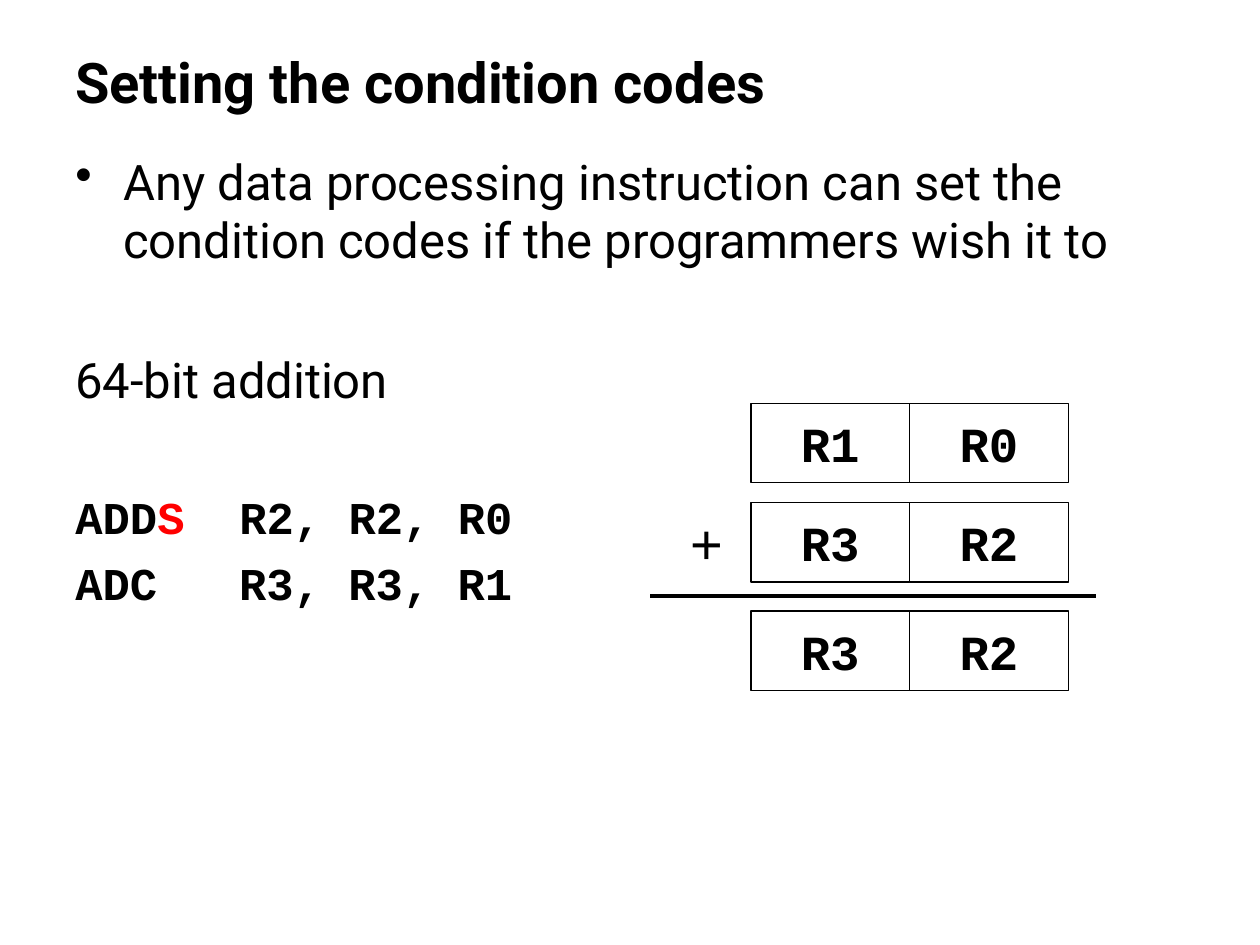
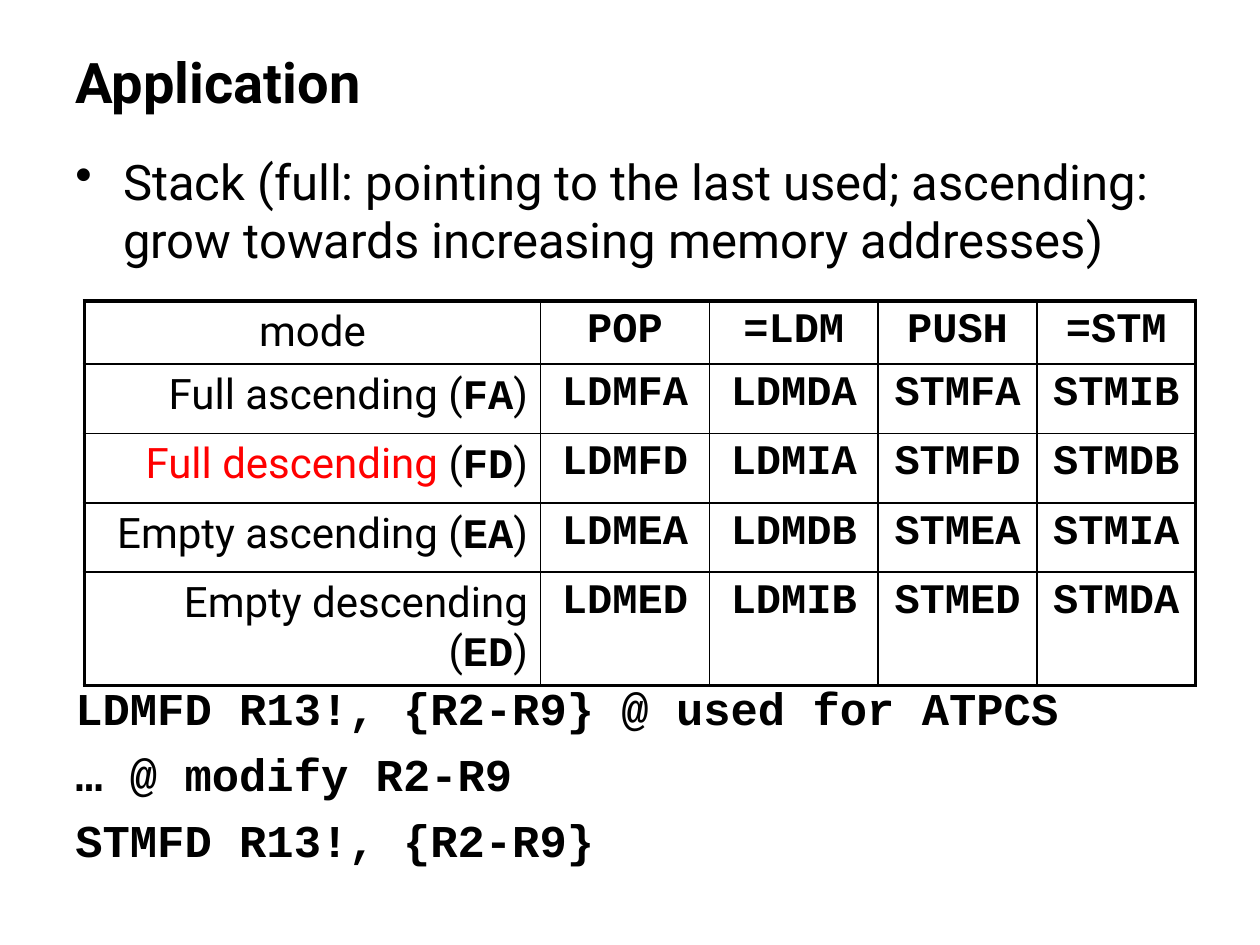
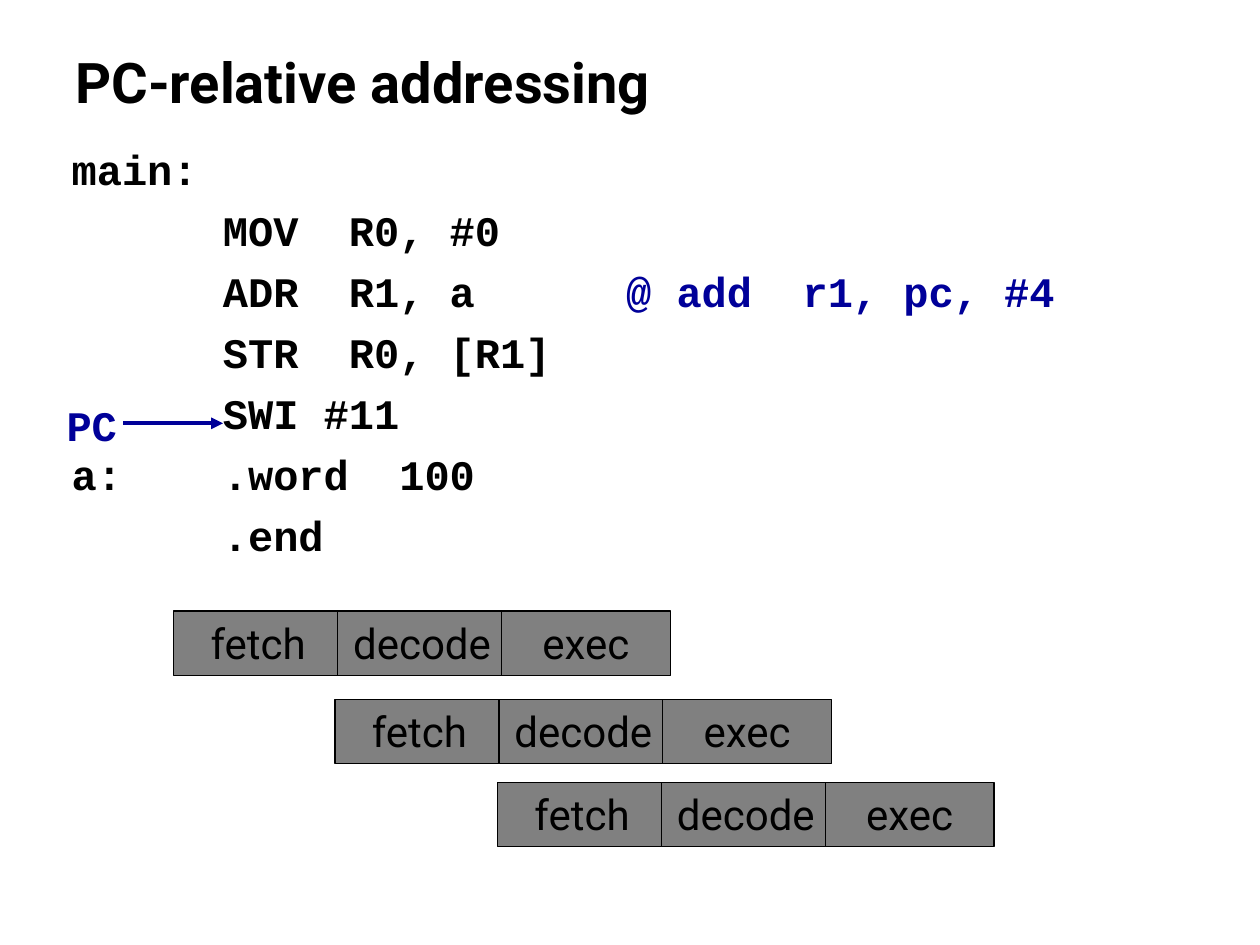
from collections import namedtuple
from pptx import Presentation
from pptx.dml.color import RGBColor
from pptx.enum.shapes import MSO_CONNECTOR, MSO_SHAPE
from pptx.enum.text import MSO_ANCHOR, PP_ALIGN
from pptx.oxml.ns import qn
from pptx.util import Inches, Pt
from lxml.etree import SubElement

# Shared style
BLACK = RGBColor(0x00, 0x00, 0x00)
RED = RGBColor(0xFF, 0x00, 0x00)
NAVY = RGBColor(0x00, 0x00, 0x99)
GRAY = RGBColor(0x80, 0x80, 0x80)
SANS, MONO = "Roboto", "Courier New"

# The grid has 100 columns and 75 rows of equal size
COLUMNS, ROWS, UNIT = 100, 75, Inches(0.1)
INDENT = 3.8
LINE_GAP = 0.25  # space before a paragraph, as a share of its font size

Style = namedtuple("Style", "face size bold color", defaults=(False, BLACK))
TITLE = Style(SANS, 32, True)
BODY = Style(SANS, 28)
CODE = Style(MONO, 26, True)
REGISTER = Style(MONO, 28, True)
LABEL = Style(SANS, 24)
SMALL_CODE = Style(MONO, 24, True)
NOTE = SMALL_CODE._replace(color=NAVY)


def grid(*cells):
    return [round(cell * UNIT) for cell in cells]


def set_font(font, style):
    font.name, font.size, font.bold = style.face, Pt(style.size), style.bold
    font.color.rgb = style.color


def write(para, spans):
    """Fill a paragraph with (text, style) spans."""
    styles = {style for _, style in spans}
    if len(styles) == 1:
        set_font(para.font, spans[0][1])
    for text, style in spans:
        span = para.add_run()
        span.text = text
        if len(styles) > 1:
            set_font(span.font, style)


def add_bullet(para):
    props = para._p.get_or_add_pPr()
    margin, = grid(INDENT)
    props.set("marL", str(margin))
    props.set("indent", str(-margin))
    SubElement(props, qn("a:buChar"), char="•")


class SlideBuilder:
    def __init__(self):
        self.deck = Presentation()
        self.deck.slide_width, self.deck.slide_height = grid(COLUMNS, ROWS)
        self.page = None

    def start(self, title):
        self.page = self.deck.slides.add_slide(self.deck.slide_layouts[6])
        self.text((5, 3, 90, 6.9), [[(title, TITLE)]], anchor=MSO_ANCHOR.MIDDLE)

    def text(self, area, lines, bullet=False, gaps=None, wrap=True, anchor=MSO_ANCHOR.TOP):
        """Text box; gaps maps a line number to a larger space before, in points."""
        frame = self.page.shapes.add_textbox(*grid(*area)).text_frame
        frame.word_wrap, frame.vertical_anchor = wrap, anchor
        for number, spans in enumerate(lines):
            para = frame.add_paragraph() if number else frame.paragraphs[0]
            if number:
                usual = spans[0][1].size * LINE_GAP
                para.space_before = Pt((gaps or {}).get(number, usual))
            elif bullet:
                add_bullet(para)
            write(para, spans)

    def box(self, area, label, style, fill=None, wrap=True, anchor=MSO_ANCHOR.MIDDLE):
        box = self.page.shapes.add_shape(MSO_SHAPE.RECTANGLE, *grid(*area))
        box.shadow.inherit = False
        if fill is None:
            box.fill.background()
        else:
            box.fill.solid()
            box.fill.fore_color.rgb = fill
        box.line.color.rgb, box.line.width = BLACK, Pt(0.75)
        frame = box.text_frame
        frame.word_wrap, frame.vertical_anchor = wrap, anchor
        frame.paragraphs[0].alignment = PP_ALIGN.CENTER
        write(frame.paragraphs[0], [(label, style)])

    def line(self, start, end, color, arrow=False):
        line = self.page.shapes.add_connector(MSO_CONNECTOR.STRAIGHT, *grid(*start, *end))
        line.line.color.rgb, line.line.width = color, Pt(2.25)
        if arrow:
            SubElement(line.line._get_or_add_ln(), qn("a:tailEnd"), type="triangle")
        SubElement(line._element.spPr, qn("a:effectLst"))

    def table(self, corner, widths, heights, rows):
        area = grid(*corner, sum(widths), sum(heights))
        table = self.page.shapes.add_table(len(heights), len(widths), *area).table
        table.first_row = table.horz_banding = False
        for column, width in zip(table.columns, grid(*widths)):
            column.width = width
        for row, height in zip(table.rows, grid(*heights)):
            row.height = height
        last_row, last_column = len(heights) - 1, len(widths) - 1
        for r, row in enumerate(rows):
            for c, spans in enumerate(row):
                cell = table.cell(r, c)
                self.borders(cell, L=c == 0, R=c == last_column, T=r == 0, B=r == last_row)
                cell.fill.background()
                para = cell.text_frame.paragraphs[0]
                para.alignment = PP_ALIGN.RIGHT if r and not c else PP_ALIGN.CENTER
                write(para, spans)

    def borders(self, cell, **outer_sides):
        """Thick lines on outer sides and thin lines inside."""
        props = cell._tc.get_or_add_tcPr()
        for side, outer in outer_sides.items():
            width = Pt(2.25 if outer else 1)
            edge = SubElement(props, qn(f"a:ln{side}"), w=str(width))
            paint = SubElement(edge, qn("a:solidFill"))
            SubElement(paint, qn("a:srgbClr"), val=str(BLACK))


def condition_codes(slides):
    slides.start("Setting the condition codes")
    slides.text((5, 11.5, 90, 59.8), [
        [("Any data processing instruction can set the condition codes "
          "if the programmers wish it to", BODY)],
        [("64-bit addition", BODY)],
        [("ADD", CODE), ("S", CODE._replace(color=RED)), ("  R2, R2, R0", CODE)],
        [("ADC   R3, R3, R1", CODE)],
    ], bullet=True, gaps={1: 46, 2: 46})

    # Register pairs of the sum
    width, height = 12.6, 6.3
    for top, pair in ((32, ("R1", "R0")), (39.9, ("R3", "R2")), (48.5, ("R3", "R2"))):
        for place, name in enumerate(pair):
            slides.box((59.6 + place * width, top, width, height), name, REGISTER, wrap=False)
    slides.line((51.6, 47.3), (87, 47.3), BLACK)
    slides.text((53.8, 39.9, 4.6, 6.3), [[("+", Style("Arial", 32))]], wrap=False)


def stack_application(slides):
    slides.start("Application")
    slides.text((5, 11.5, 90, 59.8), [
        [("Stack (full: pointing to the last used; ascending: "
          "grow towards increasing memory addresses)", BODY)],
        [("LDMFD R13!, {R2-R9} @ used for ATPCS", CODE)],
        [("… @ modify R2-R9", CODE)],
        [("STMFD R13!, {R2-R9}", CODE)],
    ], bullet=True, gaps={1: 235})

    # Stack modes and their instructions
    modes = (
        ("Full ascending ", "FA", BLACK, "DA", "IB"),
        ("Full descending ", "FD", RED, "IA", "DB"),
        ("Empty ascending ", "EA", BLACK, "DB", "IA"),
        ("Empty descending ", "ED", BLACK, "IB", "DA"),
    )
    headings = ("POP", "=LDM", "PUSH", "=STM")
    rows = [[[("mode", LABEL)]] + [[(heading, SMALL_CODE)] for heading in headings]]
    for mode, short, color, load, store in modes:
        name = [(mode, LABEL._replace(color=color)), ("(", LABEL),
                (short, SMALL_CODE), (")", LABEL)]
        codes = ("LDM" + short, "LDM" + load, "STM" + short, "STM" + store)
        rows.append([name] + [[(code, SMALL_CODE)] for code in codes])
    slides.table((6.7, 23.9), (36.2, 13.4, 13.4, 12.6, 12.6), (5, 5.5, 5.5, 5.5, 5.5), rows)


def relative_addressing(slides):
    slides.start("PC-relative addressing")
    slides.text((4.7, 10.9, 90, 59.8), [
        [("main:", SMALL_CODE)],
        [("      MOV  R0, #0", SMALL_CODE)],
        [("      ADR  R1, a      ", SMALL_CODE), ("@ add  r1, pc, #4", NOTE)],
        [("      STR  R0, [R1]", SMALL_CODE)],
        [("      SWI #11", SMALL_CODE)],
        [("a:    .word  100", SMALL_CODE)],
        [("      .end", SMALL_CODE)],
    ])

    # Program counter marker
    slides.line((9.8, 33.6), (17.7, 33.6), NAVY, arrow=True)
    slides.text((4.3, 31.2, 6, 5), [[("PC", NOTE)]], wrap=False)

    # Pipeline: each instruction starts one stage later
    for left, top in ((13.8, 48.5), (26.6, 55.5), (39.5, 62.1)):
        for step, stage in enumerate(("fetch", "decode", "exec")):
            slides.box((left + 13 * step, top, 13.4, 5.1), stage, LABEL,
                       fill=GRAY, anchor=MSO_ANCHOR.TOP)


def main():
    slides = SlideBuilder()
    condition_codes(slides)
    stack_application(slides)
    relative_addressing(slides)
    slides.deck.save("out.pptx")


if __name__ == "__main__":
    main()
